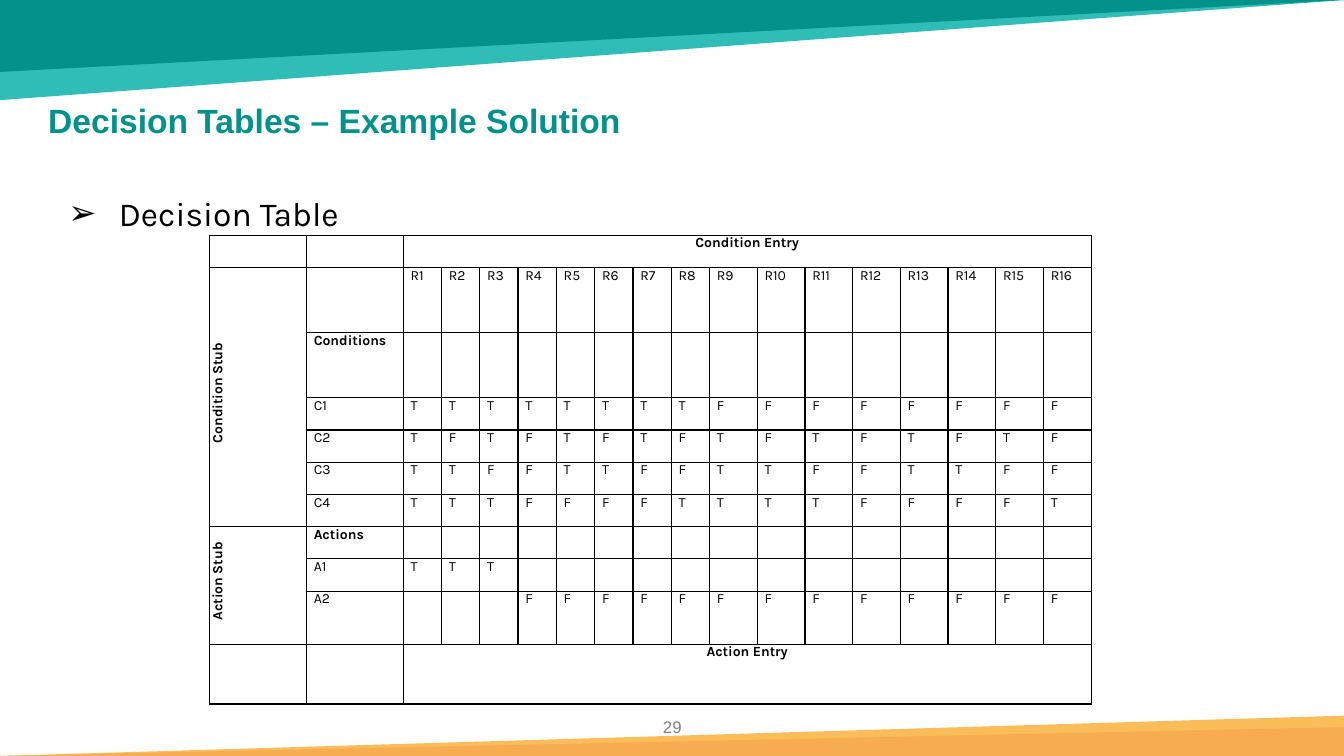
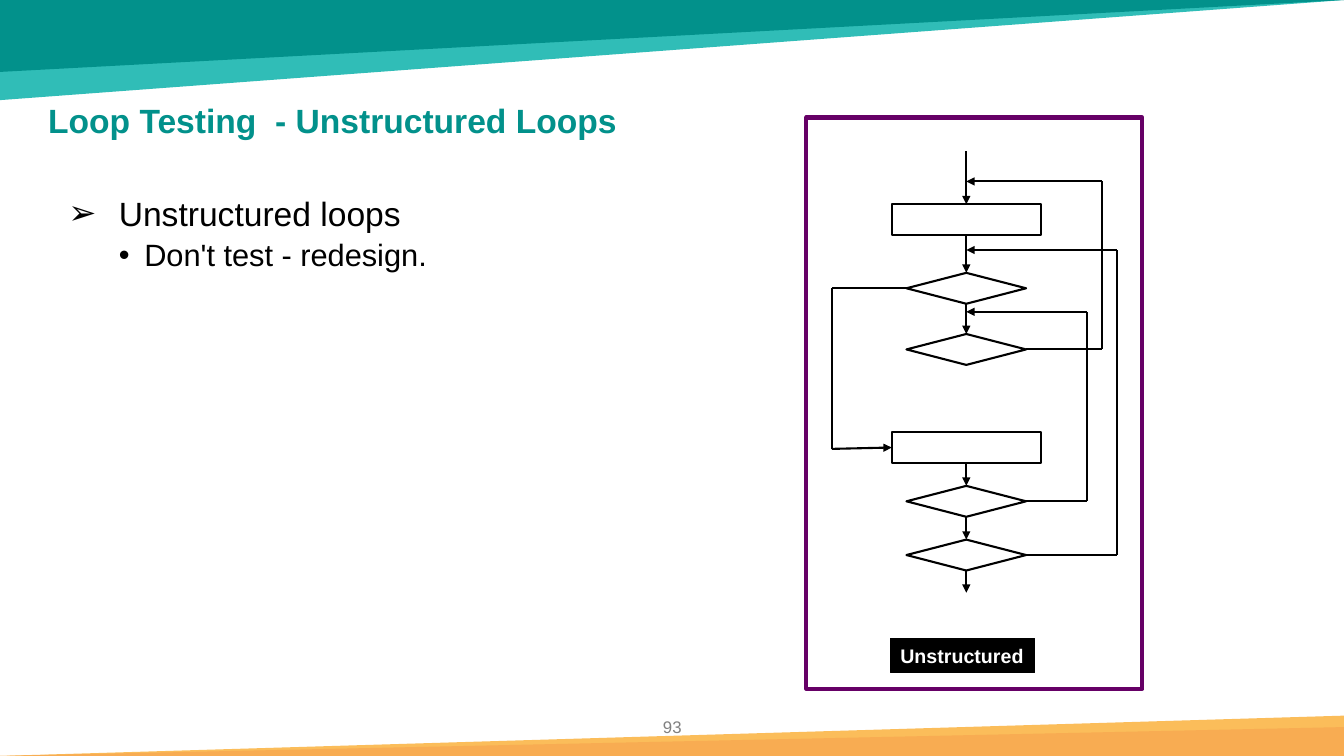
"""Build two software testing slides: a decision table and an unstructured loop flowchart."""
from itertools import pairwise

from lxml.etree import SubElement
from pptx import Presentation
from pptx.dml.color import RGBColor
from pptx.enum.shapes import MSO_CONNECTOR, MSO_SHAPE
from pptx.enum.text import MSO_ANCHOR as Anchor, PP_ALIGN as Align
from pptx.oxml.ns import qn
from pptx.util import Emu, Pt

EMU_PER_PX = 6096
WIDTH, HEIGHT = 2000, 1125
COLORS = {
    "teal": "02918B",
    "light_teal": "30BDB7",
    "amber": "FBBD5A",
    "orange": "F8AC52",
    "gray": "808080",
    "purple": "660066",
    "black": "000000",
    "white": "FFFFFF",
}
BANDS = [
    (0, 149, "light_teal", 180),
    (0, 107, "teal", 180),
    (1065, 60, "amber", 0),
    (1082, 43, "orange", 0),
]
BULLETS = [("➢", 75, 75), ("•", 113, 38)]

TABLE_COLUMNS = [144] * 2 + [57] * 8 + [71] * 8
TABLE_ROWS = [48, 97, 97] + [48] * 6 + [79, 89]
RULES = {
    3: ("C1", "TTTTTTTTFFFFFFFF"),
    4: ("C2", "TFTFTFTFTFTFTFTF"),
    5: ("C3", "TTFFTTFFTTFFTTFF"),
    6: ("C4", "TTTFFFFTTTTFFFFT"),
    8: ("A1", "TTT"),
    9: ("A2", "---FFFFFFFFFFFFF"),
}

TOP, LEFT, BOTTOM, RIGHT = range(4)
SPINE = 1438
NODE_HEIGHT = 46
BOX_WIDTH, DIAMOND_WIDTH = 222, 178


def px(value):
    """Turn whole pixels into EMU."""
    return Emu(value * EMU_PER_PX)


def color(name):
    """Look up a named colour."""
    return RGBColor.from_string(COLORS[name])


def add_span(para, text, size, tint="black", bold=False, font="Arial"):
    """Add one formatted run to a paragraph."""
    span = para.add_run()
    span.text = text
    span.font.name, span.font.size, span.font.bold = font, Pt(size), bold
    span.font.color.rgb = color(tint)


def add_box(page, left, top, width, height):
    """Add a wrapping text box and return its text frame."""
    frame = page.shapes.add_textbox(px(left), px(top), px(width), px(height)).text_frame
    frame.word_wrap = True
    return frame


def add_figure(page, kind, left, top, width, height, fill=None, line=None, weight=1.5):
    """Add a preset shape with optional fill and outline."""
    figure = page.shapes.add_shape(kind, px(left), px(top), px(width), px(height))
    figure.shadow.inherit = False
    if fill:
        figure.fill.solid()
        figure.fill.fore_color.rgb = color(fill)
    else:
        figure.fill.background()
    if line:
        figure.line.color.rgb = color(line)
        figure.line.width = Pt(weight)
    else:
        figure.line.fill.background()
    return figure


def add_page(deck, title, number):
    """Add a blank slide with the shared bands, page number and title."""
    page = deck.slides.add_slide(deck.slide_layouts[6])
    for top, height, tint, angle in BANDS:
        band = add_figure(page, MSO_SHAPE.RIGHT_TRIANGLE, 0, top, WIDTH, height, tint)
        band.rotation = angle
        band._element.spPr.find(qn("a:xfrm")).set("flipH", "1")

    para = add_box(page, 951, 1059, 99, 45).paragraphs[0]
    para.alignment = Align.CENTER
    add_span(para, str(number), 12, "gray")

    frame = add_box(page, 57, 152, 1318, 60)
    frame.vertical_anchor = Anchor.MIDDLE
    frame.paragraphs[0].line_spacing = 0.9
    add_span(frame.paragraphs[0], title, 24, "teal", True)
    return page


def add_bullets(page, items):
    """Add the body text from (level, text, size, font) items."""
    frame = add_box(page, 87, 286, 1743, 750)
    for index, (level, text, size, font) in enumerate(items):
        para = frame.add_paragraph() if index else frame.paragraphs[0]
        mark, margin, hanging = BULLETS[level]
        para.level = level
        properties = para._p.get_or_add_pPr()
        properties.set("marL", str(px(margin)))
        properties.set("indent", str(-px(hanging)))
        SubElement(properties, qn("a:buFont"), typeface="Arial")
        SubElement(properties, qn("a:buChar"), char=mark)
        para.line_spacing = 0.9
        if index:
            para.space_before = Pt(5)
        add_span(para, text, size, font=font)


def style_cell(cell):
    """Give a cell black borders, narrow margins and no fill."""
    cell.margin_left = cell.margin_right = px(11)
    cell.margin_top = cell.margin_bottom = 0
    properties = cell._tc.get_or_add_tcPr()
    for side in ("lnL", "lnR", "lnT", "lnB"):
        border = SubElement(properties, qn(f"a:{side}"), w=str(Pt(1)))
        paint = SubElement(border, qn("a:solidFill"))
        SubElement(paint, qn("a:srgbClr"), val=COLORS["black"])
    cell.fill.background()


def write_cell(cell, text, bold=False, align=Align.LEFT):
    """Write one table entry."""
    para = cell.text_frame.paragraphs[0]
    para.alignment = align
    add_span(para, text, 10, bold=bold, font="Karla")


def add_decision_table(page):
    """Add the decision table with its stubs, rules and entries."""
    frame = page.shapes.add_table(
        len(TABLE_ROWS), len(TABLE_COLUMNS), px(312), px(350),
        px(sum(TABLE_COLUMNS)), px(sum(TABLE_ROWS)))
    table = frame.table
    table.first_row = table.horz_banding = False
    for column, width in zip(table.columns, TABLE_COLUMNS):
        column.width = px(width)
    for row, height in zip(table.rows, TABLE_ROWS):
        row.height = px(height)
    for cell in table.iter_cells():
        style_cell(cell)

    for row, text in ((0, "Condition Entry"), (10, "Action Entry")):
        table.cell(row, 2).merge(table.cell(row, 17))
        write_cell(table.cell(row, 2), text, True, Align.CENTER)
    for first, last, text in ((1, 6, "Condition Stub"), (7, 9, "Action Stub")):
        stub = table.cell(first, 0)
        stub.merge(table.cell(last, 0))
        stub._tc.get_or_add_tcPr().set("vert", "vert270")
        write_cell(stub, text, True, Align.CENTER)
        stub.text_frame.paragraphs[0]._p.get_or_add_pPr().set("marL", str(px(12)))
    for row, text in ((2, "Conditions"), (7, "Actions")):
        write_cell(table.cell(row, 1), text, True)
    for number in range(1, 17):
        write_cell(table.cell(1, number + 1), f"R{number}")
    for row, (name, values) in RULES.items():
        write_cell(table.cell(row, 1), name)
        for column, value in enumerate(values, 2):
            if value != "-":
                write_cell(table.cell(row, column), value)


def add_node(page, kind, width, top):
    """Add a flowchart node centred on the spine."""
    return add_figure(page, kind, SPINE - width // 2, top, width, NODE_HEIGHT, line="black")


def add_route(page, *stops):
    """Draw lines through points or (node, side) joints, with an arrow at the end."""
    for start, end in pairwise(stops):
        ends = [stop if isinstance(stop[0], int) else (0, 0) for stop in (start, end)]
        line = page.shapes.add_connector(
            MSO_CONNECTOR.STRAIGHT, *(px(value) for point in ends for value in point))
        if not isinstance(start[0], int):
            line.begin_connect(*start)
        if not isinstance(end[0], int):
            line.end_connect(*end)
        line.line.color.rgb = color("black")
        line.line.width = Pt(1.5)
        if end is stops[-1]:
            SubElement(line.line._get_or_add_ln(), qn("a:tailEnd"), type="triangle")
        SubElement(line._element.spPr, qn("a:effectLst"))


def add_flowchart(page):
    """Add the framed flowchart of unstructured loops."""
    tops = {"outer": 406, "inner": 497, "third": 723, "last": 803}
    tests = {name: add_node(page, MSO_SHAPE.DIAMOND, DIAMOND_WIDTH, top)
             for name, top in tops.items()}
    first, second = (add_node(page, MSO_SHAPE.RECTANGLE, BOX_WIDTH, top) for top in (304, 643))

    add_route(page, (SPINE, 225), (first, TOP))
    for chain in ((first, tests["outer"], tests["inner"]),
                  (second, tests["third"], tests["last"])):
        for upper, lower in pairwise(chain):
            add_route(page, (upper, BOTTOM), (lower, TOP))
    add_route(page, (tests["last"], BOTTOM), (SPINE, 882))

    middle = {name: top + NODE_HEIGHT // 2 for name, top in tops.items()}
    for name, lane, back in (("third", 1617, 464), ("last", 1662, 372), ("inner", 1640, 270)):
        add_route(page, (tests[name], RIGHT), (lane, middle[name]), (lane, back), (SPINE, back))
    add_route(page, (tests["outer"], LEFT), (1238, middle["outer"]), (1238, 668), (second, LEFT))

    label = add_figure(page, MSO_SHAPE.RECTANGLE, 1325, 950, 215, 51, "black", "black", 0.75)
    label.text_frame.word_wrap = False
    label.text_frame.paragraphs[0].alignment = Align.LEFT
    add_span(label.text_frame.paragraphs[0], "Unstructured", 14, "white", True)
    add_figure(page, MSO_SHAPE.RECTANGLE, 1200, 175, 500, 850, line="purple", weight=3)


def main():
    """Build and save the deck."""
    deck = Presentation()
    deck.slide_width, deck.slide_height = px(WIDTH), px(HEIGHT)

    page = add_page(deck, "Decision Tables – Example Solution", 29)
    add_bullets(page, [(0, "Decision Table", 24, "Karla")])
    add_decision_table(page)

    page = add_page(deck, "Loop Testing  - Unstructured Loops", 93)
    add_bullets(page, [(0, "Unstructured loops", 24, "Arial"),
                       (1, "Don't test - redesign.", 22, "Arial")])
    add_flowchart(page)

    deck.save("out.pptx")


if __name__ == "__main__":
    main()
